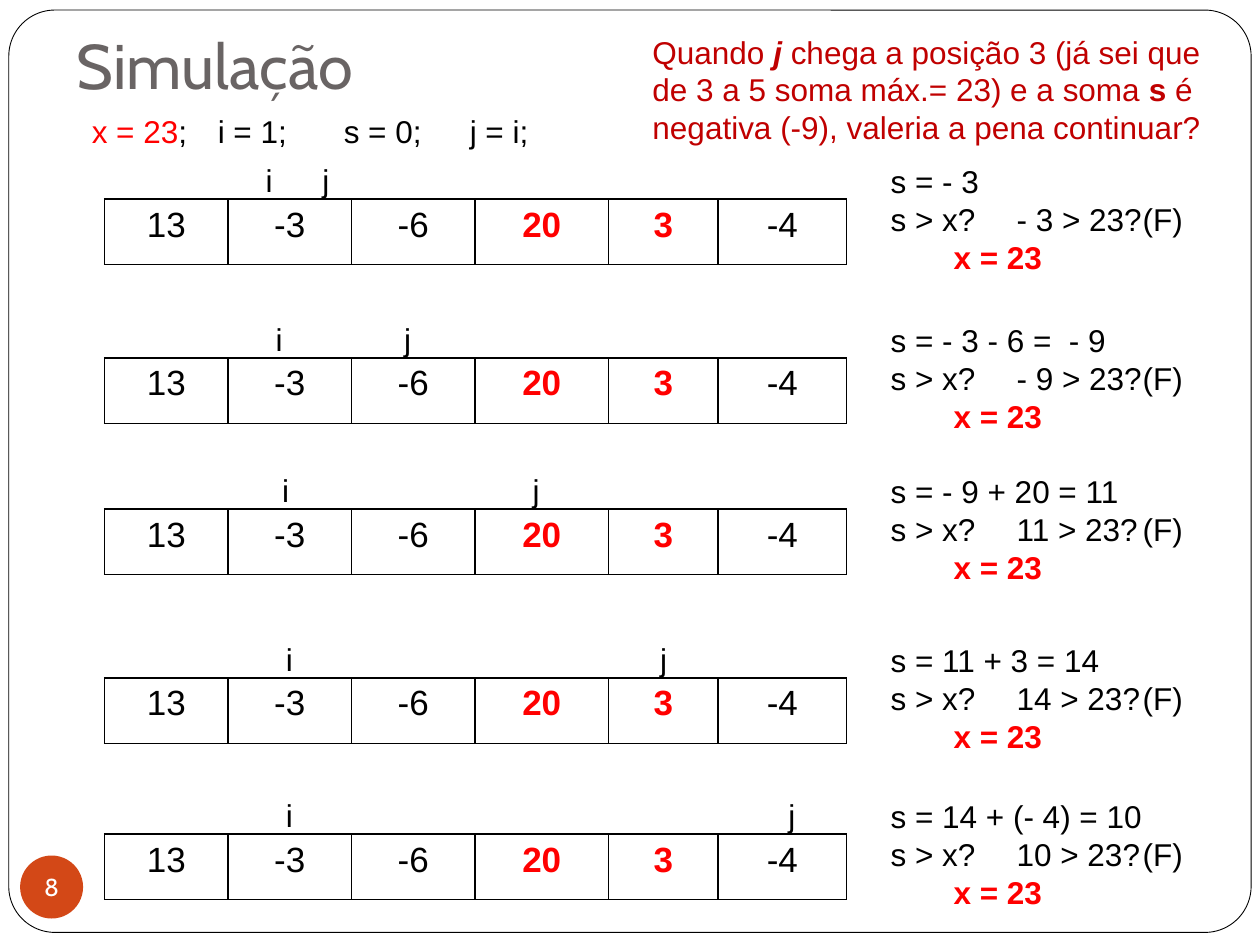
from lxml import etree
from pptx import Presentation
from pptx.dml.color import RGBColor
from pptx.enum.shapes import MSO_SHAPE
from pptx.enum.text import MSO_ANCHOR, MSO_AUTO_SIZE, PP_ALIGN
from pptx.oxml.ns import qn
from pptx.util import Inches, Pt

BLACK = RGBColor(0x00, 0x00, 0x00)
WHITE = RGBColor(0xFF, 0xFF, 0xFF)
RED = RGBColor(0xFF, 0x00, 0x00)
DARK_RED = RGBColor(0xC0, 0x00, 0x00)
GRAY = RGBColor(0x69, 0x64, 0x64)
ORANGE = RGBColor(0xD3, 0x48, 0x17)
CENTER = PP_ALIGN.CENTER
MIDDLE = MSO_ANCHOR.MIDDLE
BOTTOM = MSO_ANCHOR.BOTTOM
FIT_SHAPE = MSO_AUTO_SIZE.SHAPE_TO_FIT_TEXT
ROUND_RECT = MSO_SHAPE.ROUNDED_RECTANGLE
OVAL = MSO_SHAPE.OVAL


def add_run(p, text, color=BLACK, size=18, bold=False, italic=False, font="Arial"):
    r = p.add_run()
    r.text = text
    r.font.name = font
    r.font.size = Pt(size)
    r.font.color.rgb = color
    r.font.bold = bold
    r.font.italic = italic


def add_text(left, top, width, height, wrap=True):
    sp = s.shapes.add_textbox(Inches(left), Inches(top), Inches(width), Inches(height))
    tf = sp.text_frame
    tf.word_wrap = wrap
    tf.auto_size = FIT_SHAPE
    return tf


prs = Presentation()
prs.slide_width = Inches(10)
prs.slide_height = Inches(7.5)
s = prs.slides.add_slide(prs.slide_layouts[6])

frame = s.shapes.add_shape(ROUND_RECT, Inches(0.07), Inches(0.08), Inches(9.86), Inches(7.32))
frame.adjustments[0] = 0.05
frame.shadow.inherit = False
frame.fill.solid()
frame.fill.fore_color.rgb = WHITE
frame.line.color.rgb = BLACK
frame.line.width = Pt(0.5)

tf = add_text(0.51, 0.3, 8.99, 0.61)
tf.auto_size = MSO_AUTO_SIZE.NONE
tf.vertical_anchor = BOTTOM
tf.margin_bottom = Inches(0.1)
add_run(tf.paragraphs[0], "Simulação", GRAY, 36, font="Cabin")

badge = s.shapes.add_shape(OVAL, Inches(0.16), Inches(6.79), Inches(0.5), Inches(0.5))
badge.shadow.inherit = False
badge.fill.solid()
badge.fill.fore_color.rgb = ORANGE
badge.line.fill.background()
tf = badge.text_frame
tf.word_wrap = False
tf.vertical_anchor = MIDDLE
tf.margin_left = tf.margin_right = tf.margin_top = tf.margin_bottom = 0
tf.paragraphs[0].alignment = CENTER
add_run(tf.paragraphs[0], "8", WHITE, 14, font="Cabin")

p = add_text(0.13, 0.84, 4.71, 0.4, wrap=False).paragraphs[0]
add_run(p, "\t")
add_run(p, "x = 23", RED)
add_run(p, "; \ti = 1;\ts = 0;\tj = i;")

values = ["13", "-3", "-6", "20", "3", "-4"]
best = ["20", "3"]
col_widths = [0.98, 0.98, 0.98, 1.06, 0.87, 1.02]
steps = [
    (1.58, 2.01, 2.46, "s = - 3", "- 3"),
    (2.84, 2.09, 3.11, "s = - 3 - 6 =  - 9", "- 9"),
    (4.04, 2.14, 4.13, "s = - 9 + 20 = 11", "11"),
    (5.38, 2.17, 5.14, "s = 11 + 3 = 14", "14"),
    (6.62, 2.17, 6.16, "s = 14 + (- 4) = 10", "10"),
]

for top, i_left, j_left, total, current in steps:
    table = s.shapes.add_table(
        1, len(values), Inches(0.83), Inches(top), Inches(5.91), Inches(0.52)
    ).table
    table.first_row = False
    table.horz_banding = False
    for col, width in enumerate(col_widths):
        table.columns[col].width = Inches(width)
        cell = table.cell(0, col)
        p = cell.text_frame.paragraphs[0]
        p.alignment = CENTER
        is_best = values[col] in best
        add_run(p, values[col], RED if is_best else BLACK, 20, is_best)
        tc_pr = cell._tc.get_or_add_tcPr()
        for side in ("a:lnL", "a:lnR", "a:lnT", "a:lnB"):
            ln = etree.SubElement(tc_pr, qn(side), w=str(Pt(1)))
            fill = etree.SubElement(ln, qn("a:solidFill"))
            etree.SubElement(fill, qn("a:srgbClr"), val=str(BLACK))
        cell.fill.background()

    for name, left in (("i", i_left), ("j", j_left)):
        tf = add_text(left, top - 0.35, 0.26, 0.4, wrap=False)
        add_run(tf.paragraphs[0], name)

    tf = add_text(6.97, top - 0.34, 2.68, 1.01)
    add_run(tf.paragraphs[0], total)
    add_run(tf.add_paragraph(), f"s > x? \t{current} > 23?\t(F)")
    p = tf.add_paragraph()
    add_run(p, "\t")
    add_run(p, "x = 23", RED, bold=True)

p = add_text(5.08, 0.21, 4.65, 1.01).paragraphs[0]
add_run(p, "Quando ", DARK_RED)
add_run(p, "j", DARK_RED, bold=True, italic=True)
add_run(p, " chega a posição 3 (já sei que de 3 a 5 soma máx.= 23) e a soma ", DARK_RED)
add_run(p, "s ", DARK_RED, bold=True)
add_run(p, "é negativa (-9), valeria a pena continuar?", DARK_RED)

prs.save("out.pptx")
